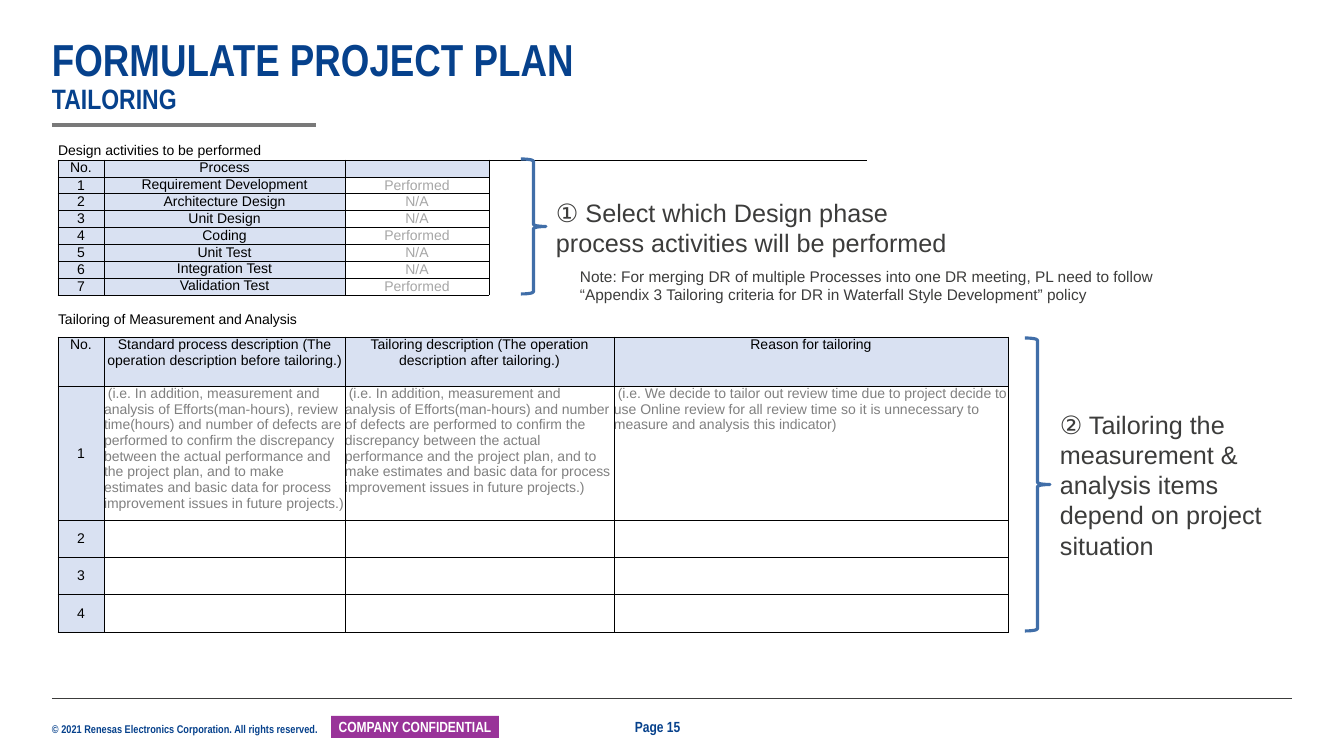
from lxml import etree
from pptx import Presentation
from pptx.dml.color import RGBColor
from pptx.enum.shapes import MSO_CONNECTOR, MSO_SHAPE
from pptx.enum.text import MSO_ANCHOR as ANCHOR, PP_ALIGN as ALIGN
from pptx.oxml import parse_xml
from pptx.oxml.ns import nsdecls, qn
from pptx.util import Emu, Pt

SCALE = 914400 / 100.8
NAVY, DARK, BLACK, WHITE = "06418C", "3C3C3B", "000000", "FFFFFF"
PALE, LIGHT_GRAY, GRAY = "D9E1F2", "A6A6A6", "808080"
NO_STYLE = "{2D5ABB26-0587-4C30-8999-92F81FD0307C}"

COLUMNS = [46, 241, 144, 125, 125, 128, 141]
ROWS = [17 if i % 4 == 0 else 16 for i in range(10)] + [25, 49, 125, 37, 37, 38]
ACTIVITIES = [
    ("Requirement Development", "Performed"),
    ("Architecture Design", "N/A"),
    ("Unit Design", "N/A"),
    ("Coding", "Performed"),
    ("Unit Test", "N/A"),
    ("Integration Test", "N/A"),
    ("Validation Test", "Performed"),
]
TAILORING_HEADS = [
    "Standard process description (The operation description before tailoring.)",
    "Tailoring description (The operation description after tailoring.)",
    "Reason for tailoring",
]
TAILORING_EXAMPLE = [
    " (i.e. In addition, measurement and analysis of Efforts(man-hours), review time(hours) "
    "and number of defects are performed to confirm the discrepancy between the actual "
    "performance and the project plan, and to make estimates and basic data for process "
    "improvement issues in future projects.)",
    " (i.e. In addition, measurement and analysis of Efforts(man-hours) and number of defects "
    "are performed to confirm the discrepancy between the actual performance and the project "
    "plan, and to make estimates and basic data for process improvement issues in future "
    "projects.)",
    " (i.e. We decide to tailor out review time due to project decide to use Online review "
    "for all review time so it is unnecessary to measure and analysis this indicator)",
]


def px(n):
    return Emu(round(n * SCALE))


def rgb(color):
    return RGBColor.from_string(color)


def style(font, size, color, name="Arial", bold=False):
    font.size, font.name, font.bold = Pt(size), name, bold
    font.color.rgb = rgb(color)


def set_margins(target, x, y):
    target.margin_left = target.margin_right = px(x)
    target.margin_top = target.margin_bottom = px(y)


def add_text(s, box, text, size, color=DARK, name="Arial", bold=False, wrap=True, margins=(10, 5)):
    tf = s.shapes.add_textbox(*map(px, box)).text_frame
    tf.word_wrap = wrap
    set_margins(tf, *margins)
    p = tf.paragraphs[0]
    p.text = text
    style(p.font, size, color, name, bold)


def add_title(s, title, subtitle):
    tf = s.shapes.add_textbox(px(52), px(36), px(1240), px(80)).text_frame
    tf.word_wrap = True
    tf.vertical_anchor = ANCHOR.BOTTOM
    set_margins(tf, 0, 0)
    p = tf.paragraphs[0]
    p.line_spacing = 0.9
    r = p.add_run()
    r.text = title
    style(r.font, 32, NAVY, "Arial Narrow", True)
    p.add_line_break()
    r = p.add_run()
    r.text = subtitle
    style(r.font, 20, NAVY, "Arial Narrow", True)


def add_rule(s, x1, x2, y, color, width):
    rule = s.shapes.add_connector(MSO_CONNECTOR.STRAIGHT, px(x1), px(y), px(x2), px(y))
    rule.line.color.rgb = rgb(color)
    rule.line.width = Pt(width)
    etree.SubElement(rule._element.spPr, qn("a:effectLst"))


def add_brace(s, x, y, h):
    brace = s.shapes.add_shape(MSO_SHAPE.RIGHT_BRACE, px(x), px(y), px(25), px(h))
    brace.shadow.inherit = False
    brace.fill.background()
    brace.line.color.rgb = rgb("406EA8")
    brace.line.width = Pt(2.25)


def add_badge(s, text):
    badge = s.shapes.add_shape(MSO_SHAPE.RECTANGLE, px(331), px(716), px(168), px(22))
    badge.shadow.inherit = False
    badge.fill.solid()
    badge.fill.fore_color.rgb = rgb("993399")
    badge.line.fill.background()
    tf = badge.text_frame
    tf.vertical_anchor = ANCHOR.MIDDLE
    set_margins(tf, 4, 0)
    p = tf.paragraphs[0]
    p.text = text
    p.alignment = ALIGN.CENTER
    style(p.font, 10.5, WHITE, "Arial Narrow", True)


def set_borders(cell):
    tcPr = cell._tc.get_or_add_tcPr()
    for i, side in enumerate("LRTB"):
        tcPr.insert(i, parse_xml(
            f'<a:ln{side} {nsdecls("a")} w="6350"><a:solidFill><a:srgbClr val="{BLACK}"/>'
            f'</a:solidFill></a:ln{side}>'))


def fill_cell(cell, text, color=BLACK, fill=None, align=ALIGN.CENTER, anchor=ANCHOR.TOP):
    cell.vertical_anchor = anchor
    if fill:
        cell.fill.solid()
        cell.fill.fore_color.rgb = rgb(fill)
    p = cell.text_frame.paragraphs[0]
    p.text = text
    p.alignment = align
    style(p.font, 10, color)


def add_plan_table(s):
    frame = s.shapes.add_table(len(ROWS), len(COLUMNS), px(58), px(143),
                               px(sum(COLUMNS)), px(sum(ROWS)))
    table = frame.table
    table.first_row = table.horz_banding = False
    table._tbl.tblPr.find(qn("a:tableStyleId")).text = NO_STYLE
    for column, width in zip(table.columns, COLUMNS):
        column.width = px(width)
    for row, height in zip(table.rows, ROWS):
        row.height = px(height)
    for cell in table.iter_cells():
        set_margins(cell, 0, 0)
        # Keeps empty cells from stretching the low rows
        cell.text_frame.paragraphs[0]._p.get_or_add_endParaRPr().set("sz", "1000")

    for row, last, text in [(0, 5, "Design activities to be performed"),
                            (10, 6, "Tailoring of Measurement and Analysis")]:
        table.cell(row, 0).merge(table.cell(row, last))
        fill_cell(table.cell(row, 0), text, align=ALIGN.LEFT)

    for col, text in enumerate(["No.", "Process", ""]):
        fill_cell(table.cell(1, col), text, fill=PALE)
    for no, (process, status) in enumerate(ACTIVITIES, 1):
        fill_cell(table.cell(no + 1, 0), str(no), fill=PALE, anchor=ANCHOR.MIDDLE)
        fill_cell(table.cell(no + 1, 1), process, fill=PALE)
        fill_cell(table.cell(no + 1, 2), status, LIGHT_GRAY, anchor=ANCHOR.MIDDLE)

    for row in range(11, 16):
        table.cell(row, 2).merge(table.cell(row, 3))
        table.cell(row, 4).merge(table.cell(row, 6))
    fill_cell(table.cell(11, 0), "No.", fill=PALE)
    for no in range(1, 5):
        fill_cell(table.cell(no + 11, 0), str(no), fill=PALE, anchor=ANCHOR.MIDDLE)
    for col, head, example in zip((1, 2, 4), TAILORING_HEADS, TAILORING_EXAMPLE):
        fill_cell(table.cell(11, col), head, fill=PALE)
        fill_cell(table.cell(12, col), example, GRAY, align=ALIGN.LEFT)

    for rows, cols in [(range(1, 9), range(3)), (range(11, 16), (0, 1, 2, 4))]:
        for row in rows:
            for col in cols:
                set_borders(table.cell(row, col))


def main():
    prs = Presentation()
    prs.slide_width, prs.slide_height = px(1344), px(756)
    s = prs.slides.add_slide(prs.slide_layouts[6])

    add_text(s, (52, 722, 275, 13), "© 2021 Renesas Electronics Corporation. All rights reserved.",
             8, NAVY, "Arial Narrow", True, wrap=False, margins=(0, 0))
    add_rule(s, 52, 1292, 698, DARK, 0.5)
    add_badge(s, "COMPANY CONFIDENTIAL")
    add_rule(s, 52, 316, 125, "797979", 3)
    add_text(s, (625, 713, 67, 28), "Page 15", 10.5, NAVY, "Arial Narrow", True, wrap=False)

    add_title(s, "FORMULATE PROJECT PLAN", "TAILORING")
    add_plan_table(s)
    add_brace(s, 521, 159, 135)
    add_text(s, (546, 192, 428, 71),
             "① Select which Design phase process activities will be performed", 18)
    add_brace(s, 1025, 338, 293)
    add_text(s, (1050, 404, 269, 163),
             "② Tailoring the measurement & analysis items depend on project situation", 18)
    add_text(s, (570, 262, 647, 47),
             "Note: For merging DR of multiple Processes into one DR meeting, PL need to follow "
             "“Appendix 3 Tailoring criteria for DR in Waterfall Style Development” policy", 11)
    prs.save("out.pptx")


if __name__ == "__main__":
    main()
